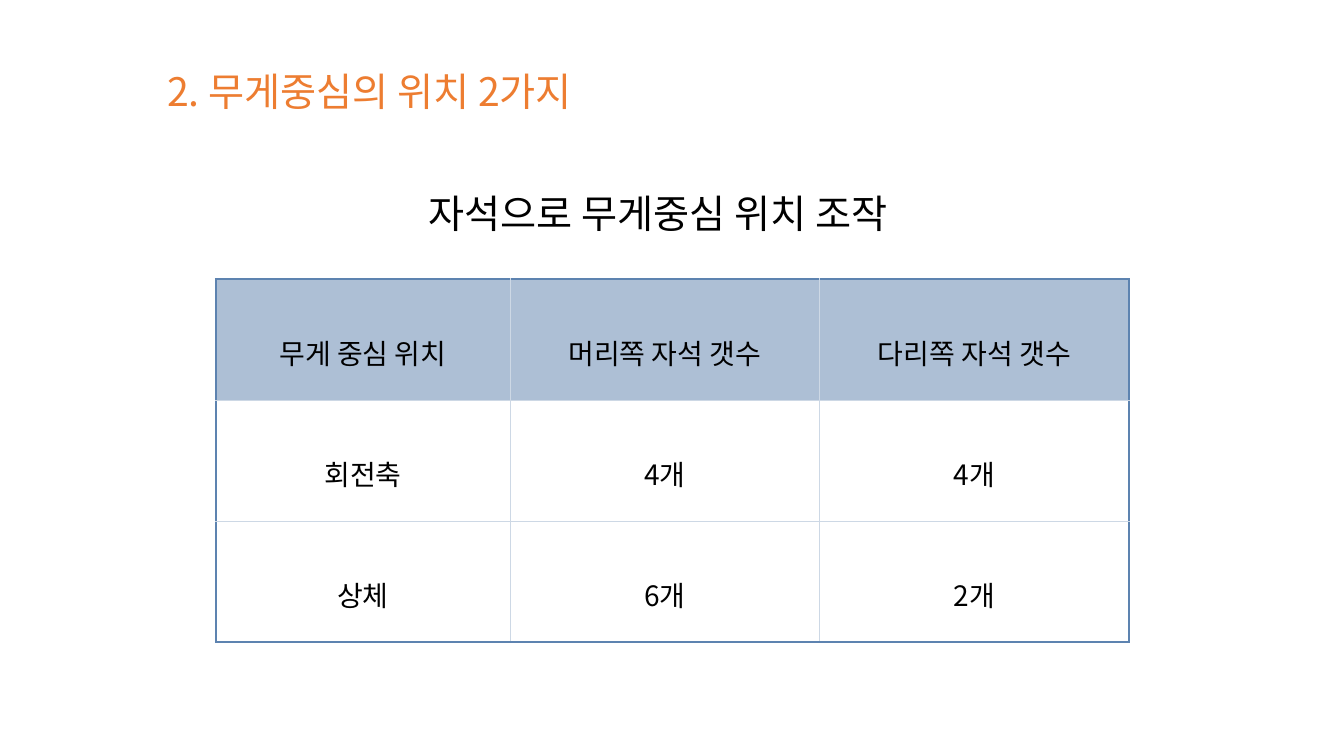
"""Build the slide on two positions of the centre of gravity."""
from lxml import etree
from pptx import Presentation
from pptx.dml.color import RGBColor
from pptx.enum.text import MSO_ANCHOR, MSO_AUTO_SIZE, PP_ALIGN
from pptx.oxml.ns import qn
from pptx.util import Inches, Pt

MID = MSO_ANCHOR.MIDDLE
GROW = MSO_AUTO_SIZE.SHAPE_TO_FIT_TEXT
CENTER = PP_ALIGN.CENTER
FACE = "Noto Sans CJK KR"
HUES = {"ink": "000000", "title": "ED7D31", "head": "ADBFD5",
        "body": "FFFFFF", "edge": "5D83B0", "grid": "CDD8E5"}


def write(frame, text, size, hue):
    """Fill a text frame with one centred line."""
    para = frame.paragraphs[0]
    para.alignment = CENTER
    para.line_spacing = 1.6
    run = para.add_run()
    run.text = text
    for key, val in {"name": FACE, "size": Pt(size)}.items():
        setattr(run.font, key, val)
    run.font.color.rgb = RGBColor.from_string(HUES[hue])
    etree.SubElement(run.font._element, qn("a:ea"), typeface=FACE)


def border(cell, side, hue, width):
    """Draw one side of a table cell."""
    props = cell._tc.get_or_add_tcPr()
    line = etree.SubElement(props, qn(f"a:ln{side}"), w=str(Pt(width)))
    fill = etree.SubElement(line, qn("a:solidFill"))
    etree.SubElement(fill, qn("a:srgbClr"), val=HUES[hue])


prs = Presentation()
prs.slide_width, prs.slide_height = Inches(13.33), Inches(7.5)
slide = prs.slides.add_slide(prs.slide_layouts[6])

lines = [(1.31, 1.55, "자석으로 무게중심 위치 조작", "ink"),
         (-1.55, 0.34, "2. 무게중심의 위치 2가지", "title")]
for left, top, text, hue in lines:
    box = slide.shapes.add_textbox(Inches(left), Inches(top), Inches(10.43), Inches(0.78))
    frame = box.text_frame
    for key, val in {"word_wrap": True, "auto_size": GROW}.items():
        setattr(frame, key, val)
    write(frame, text, 28, hue)

rows = [("무게 중심 위치", "머리쪽 자석 갯수", "다리쪽 자석 갯수"),
        ("회전축", "4개", "4개"),
        ("상체", "6개", "2개")]
wide = [2.92, 3.07, 3.07]
last = len(rows) - 1
table = slide.shapes.add_table(len(rows), len(wide), Inches(2.14), Inches(2.77),
                               Inches(sum(wide)), Inches(3.6)).table
table.horz_banding = False
for col, width in zip(table.columns, wide):
    col.width = Inches(width)

pads = {"vertical_anchor": MID, "margin_left": Inches(0.07), "margin_right": Inches(0.07),
        "margin_top": Inches(0.02), "margin_bottom": Inches(0.02)}
for r, row in enumerate(rows):
    table.rows[r].height = Inches(1.2)
    for c, text in enumerate(row):
        cell = table.cell(r, c)
        for key, val in pads.items():
            setattr(cell, key, val)
        write(cell.text_frame, text, 20, "ink")
        outer = {"L": c == 0, "R": c == last, "T": r == 0, "B": r == last}
        for side, edge in outer.items():
            border(cell, side, *(("edge", 1.7) if edge else ("grid", 0.28)))
        cell.fill.solid()
        cell.fill.fore_color.rgb = RGBColor.from_string(HUES["body" if r else "head"])

prs.save("out.pptx")
